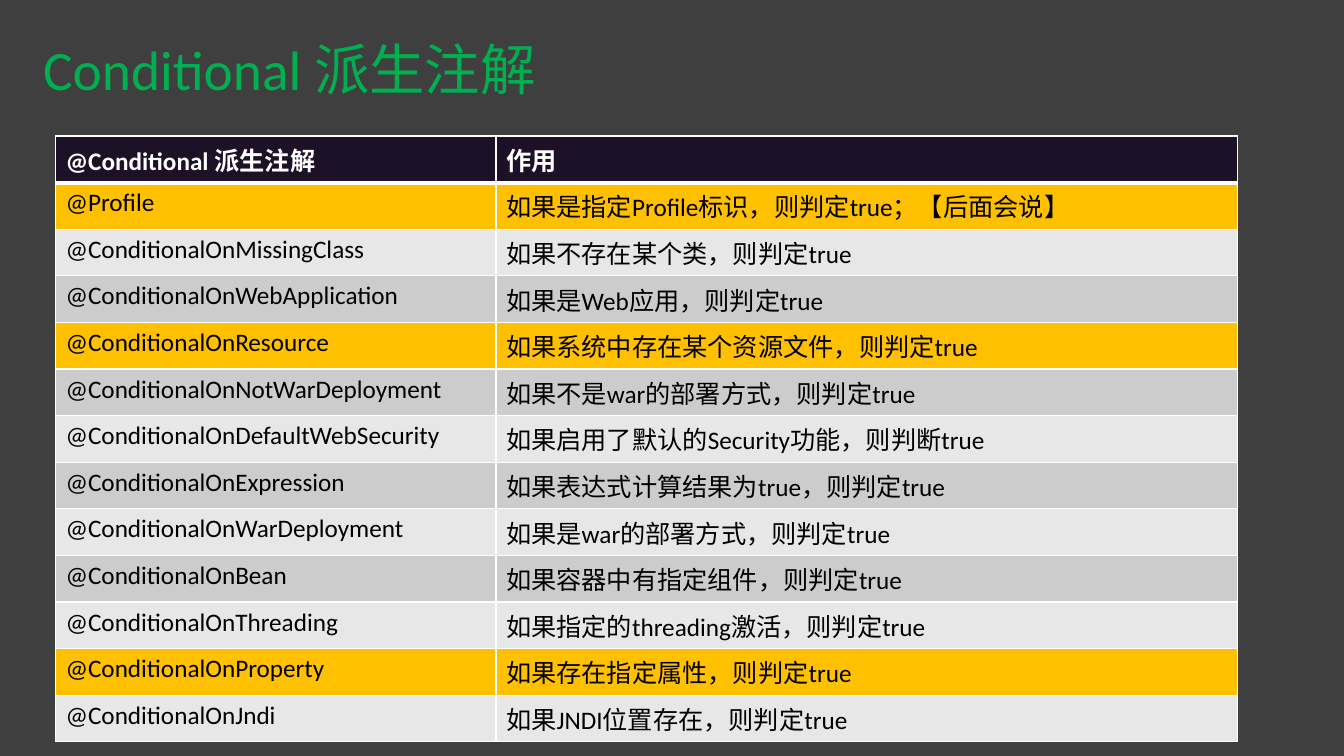
import pptx
import pptx.dml.color
import pptx.enum.text
import pptx.oxml
import pptx.oxml.ns
import pptx.util
from dataclasses import dataclass

Inches = pptx.util.Inches
Pt = pptx.util.Pt


@dataclass(frozen=True)
class Theme:
    font: str = "Calibri"
    title_size: float = 39.6
    table_size: float = 18
    background: str = "3F3F3F"
    title: str = "00B050"
    header: str = "1D1128"
    header_text: str = "FFFFFF"
    body_text: str = "000000"
    bands: tuple = ("CDCCCD", "E8E7E8")
    highlight: str = "FFC000"
    border: str = "FFFFFF"
    thin: float = 1
    thick: float = 3


THEME = Theme()
COLUMN_WIDTHS = (4.37, 7.35)
HEADER = ("@Conditional 派生注解", "作用")
ANNOTATIONS = [
    ("@Profile", "如果是指定Profile标识，则判定true；【后面会说】"),
    ("@ConditionalOnMissingClass", "如果不存在某个类，则判定true"),
    ("@ConditionalOnWebApplication", "如果是Web应用，则判定true"),
    ("@ConditionalOnResource", "如果系统中存在某个资源文件，则判定true"),
    ("@ConditionalOnNotWarDeployment", "如果不是war的部署方式，则判定true"),
    ("@ConditionalOnDefaultWebSecurity", "如果启用了默认的Security功能，则判断true"),
    ("@ConditionalOnExpression", "如果表达式计算结果为true，则判定true"),
    ("@ConditionalOnWarDeployment", "如果是war的部署方式，则判定true"),
    ("@ConditionalOnBean", "如果容器中有指定组件，则判定true"),
    ("@ConditionalOnThreading", "如果指定的threading激活，则判定true"),
    ("@ConditionalOnProperty", "如果存在指定属性，则判定true"),
    ("@ConditionalOnJndi", "如果JNDI位置存在，则判定true"),
]
HIGHLIGHTED = {"@Profile", "@ConditionalOnResource", "@ConditionalOnProperty"}


def rgb(color):
    return pptx.dml.color.RGBColor.from_string(color)


def set_font(p, size, color, bold=False):
    p.font.name = THEME.font
    p.font.size = Pt(size)
    p.font.color.rgb = rgb(color)
    p.font.bold = bold


def set_borders(cell, top, bottom):
    tc_pr = cell._tc.get_or_add_tcPr()
    widths = {"L": THEME.thin, "R": THEME.thin, "T": top, "B": bottom}
    for side, width in widths.items():
        tc_pr.append(pptx.oxml.parse_xml(
            f'<a:ln{side} {pptx.oxml.ns.nsdecls("a")} w="{Pt(width)}">'
            f'<a:solidFill><a:srgbClr val="{THEME.border}"/></a:solidFill>'
            f'</a:ln{side}>'))


def add_title(s, text, left, top, width, height):
    sp = s.shapes.add_textbox(Inches(left), Inches(top), Inches(width), Inches(height))
    tf = sp.text_frame
    tf.word_wrap = True
    tf.vertical_anchor = pptx.enum.text.MSO_ANCHOR.MIDDLE
    p = tf.paragraphs[0]
    p.text = text
    p.line_spacing = 0.9
    set_font(p, THEME.title_size, THEME.title)


def add_annotation_table(s, left, top, height):
    rows = [HEADER, *ANNOTATIONS]
    table = s.shapes.add_table(
        len(rows), len(HEADER), Inches(left), Inches(top),
        Inches(sum(COLUMN_WIDTHS)), Inches(height)).table
    for column, width in zip(table.columns, COLUMN_WIDTHS):
        column.width = Inches(width)

    for i, texts in enumerate(rows):
        table.rows[i].height = Inches(height / len(rows))
        is_header = i == 0
        if is_header:
            fill = THEME.header
        elif texts[0] in HIGHLIGHTED:
            fill = THEME.highlight
        else:
            fill = THEME.bands[(i + 1) % 2]
        # The thick rule separates the header from the body
        top_width = THEME.thick if i == 1 else THEME.thin
        bottom_width = THEME.thick if is_header else THEME.thin
        for j, text in enumerate(texts):
            cell = table.cell(i, j)
            set_borders(cell, top_width, bottom_width)
            cell.fill.solid()
            cell.fill.fore_color.rgb = rgb(fill)
            cell.text = text
            color = THEME.header_text if is_header else THEME.body_text
            set_font(cell.text_frame.paragraphs[0], THEME.table_size, color, is_header)


def main():
    prs = pptx.Presentation()
    prs.slide_width = Inches(13.33)
    prs.slide_height = Inches(7.5)
    s = prs.slides.add_slide(prs.slide_layouts[6])
    s.background.fill.solid()
    s.background.fill.fore_color.rgb = rgb(THEME.background)
    add_title(s, "Conditional 派生注解", 0.33, 0.35, 8, 0.73)
    add_annotation_table(s, 0.55, 1.35, 6.01)
    prs.save("out.pptx")


if __name__ == "__main__":
    main()
